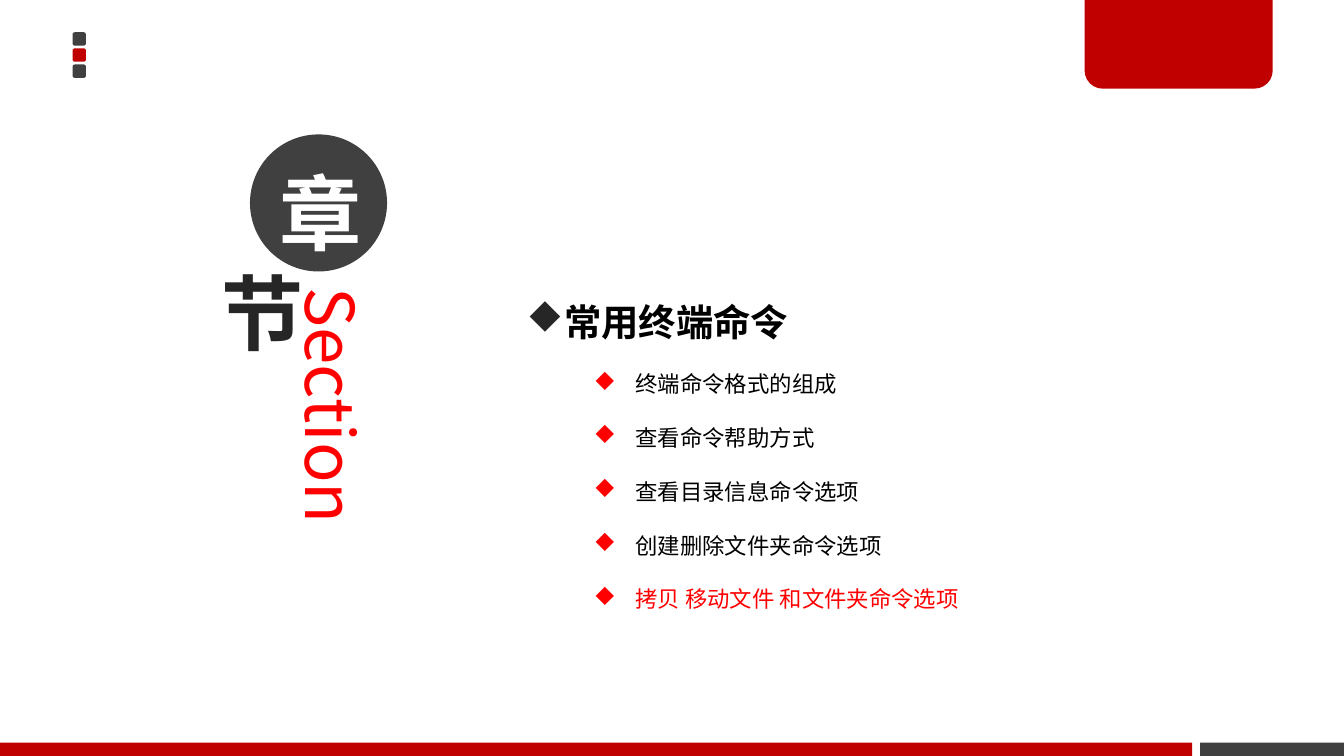
"""Build the section slide on common terminal commands."""
from lxml import etree
from pptx import Presentation
from pptx import util as u
from pptx.dml.color import RGBColor
from pptx.enum import shapes, text
from pptx.oxml.ns import qn

FONT = "Noto Sans CJK SC"
RED, DARK, INK, HOT, WHITE, BLACK = "C00000", "404040", "262626", "FF0000", "FFFFFF", "000000"
WIDE = 10
HIGH = WIDE * 9 / 16
KIND = shapes.MSO_SHAPE
MID = text.MSO_ANCHOR.MIDDLE

DOTS = [DARK, RED, DARK]
FOOT = [(0, 8.87, RED), (8.93, 1.07, DARK)]
TITLE = "常用终端命令"
ITEMS = [
    ("终端命令格式的组成", BLACK),
    ("查看命令帮助方式", BLACK),
    ("查看目录信息命令选项", BLACK),
    ("创建删除文件夹命令选项", BLACK),
    ("拷贝 移动文件 和文件夹命令选项", HOT),
]


def rgb(code):
    """Turn a hex string into a colour."""
    return RGBColor.from_string(code)


def shape(kind, at, fill=None, adj=()):
    """Add a preset shape without line or shadow."""
    item = slide.shapes.add_shape(kind, *map(u.Inches, at))
    item.shadow.inherit = False
    item.line.fill.background()
    if fill:
        item.fill.solid()
        item.fill.fore_color.rgb = rgb(fill)
    else:
        item.fill.background()
    for n, value in enumerate(adj):
        item.adjustments[n] = value
    return item


def box(at):
    """Add a wrapping text box."""
    item = slide.shapes.add_textbox(*map(u.Inches, at))
    item.text_frame.word_wrap = True
    return item


def inset(frame, foot=0.04):
    """Set the narrow margins of a text frame."""
    frame.margin_left = frame.margin_right = u.Inches(0.07)
    frame.margin_top, frame.margin_bottom = u.Inches(0.04), u.Inches(foot)


def write(para, words, size, color, bold=False, align=None, gap=None, edge=None):
    """Write one formatted run into a paragraph."""
    run = para.add_run()
    run.text = words
    font = run.font
    font.size, font.bold, font.name = u.Pt(size), bold, FONT
    font.color.rgb = rgb(color)
    para.alignment, para.line_spacing = align, gap
    props = run._r.get_or_add_rPr()
    etree.SubElement(props, qn("a:ea"), typeface=FONT)
    if edge:
        line = etree.Element(qn("a:ln"), w=str(u.Pt(0.25)))
        fill = etree.SubElement(line, qn("a:solidFill"))
        etree.SubElement(fill, qn("a:srgbClr"), val=edge)
        props.insert(0, line)


def bullet(para, color, left, hang):
    """Give a paragraph a coloured diamond and a hanging indent."""
    props = para._p.get_or_add_pPr()
    props.set("marL", str(u.Inches(left)))
    props.set("indent", str(-u.Inches(hang)))
    tint = etree.SubElement(props, qn("a:buClr"))
    etree.SubElement(tint, qn("a:srgbClr"), val=color)
    etree.SubElement(props, qn("a:buFont"), typeface="Wingdings", charset="2")
    etree.SubElement(props, qn("a:buChar"), char="u")


def glyph(at, words, color, fill=None, foot=0.04, **form):
    """Add a circle with one large centred character."""
    frame = shape(KIND.OVAL, at, fill).text_frame
    inset(frame, foot)
    frame.vertical_anchor = MID
    write(frame.paragraphs[0], words, 44, color, bold=True,
          align=text.PP_ALIGN.CENTER, **form)


deck = Presentation()
deck.slide_width, deck.slide_height = u.Inches(WIDE), u.Inches(HIGH)
slide = deck.slides.add_slide(deck.slide_layouts[6])

for n, color in enumerate(DOTS):
    shape(KIND.ROUNDED_RECTANGLE, (0.54, 0.24 + 0.12 * n, 0.1, 0.1), color, [0.17])
for left, width, color in FOOT:
    shape(KIND.RECTANGLE, (left, HIGH - 0.1, width, 0.1), color)
shape(KIND.ROUND_2_SAME_RECTANGLE, (8.07, -0.02, 1.4, 0.68), RED, [0, 0.2])

label = box((2.14, 2.1, 0.7, 2.89)).text_frame
inset(label)
label._txBody.bodyPr.set("vert", "vert")
write(label.paragraphs[0], "Section", 36, HOT)

glyph((1.86, 1, 1.02, 1.02), "章", WHITE, DARK, foot=0.15, gap=u.Pt(70))
glyph((1.46, 1.92, 0.8, 0.8), "节", INK, edge=WHITE)

topics = box((3.82, 1.84, 3.62, 2.79)).text_frame
topics.auto_size = text.MSO_AUTO_SIZE.SHAPE_TO_FIT_TEXT
head = topics.paragraphs[0]
write(head, TITLE, 20, BLACK, bold=True, gap=2.0)
bullet(head, INK, 0.19, 0.19)
for words, color in ITEMS:
    para = topics.add_paragraph()
    para.level = 1
    write(para, words, 12, color, gap=2.0)
    bullet(para, HOT, 0.81, 0.31)

deck.save("out.pptx")
